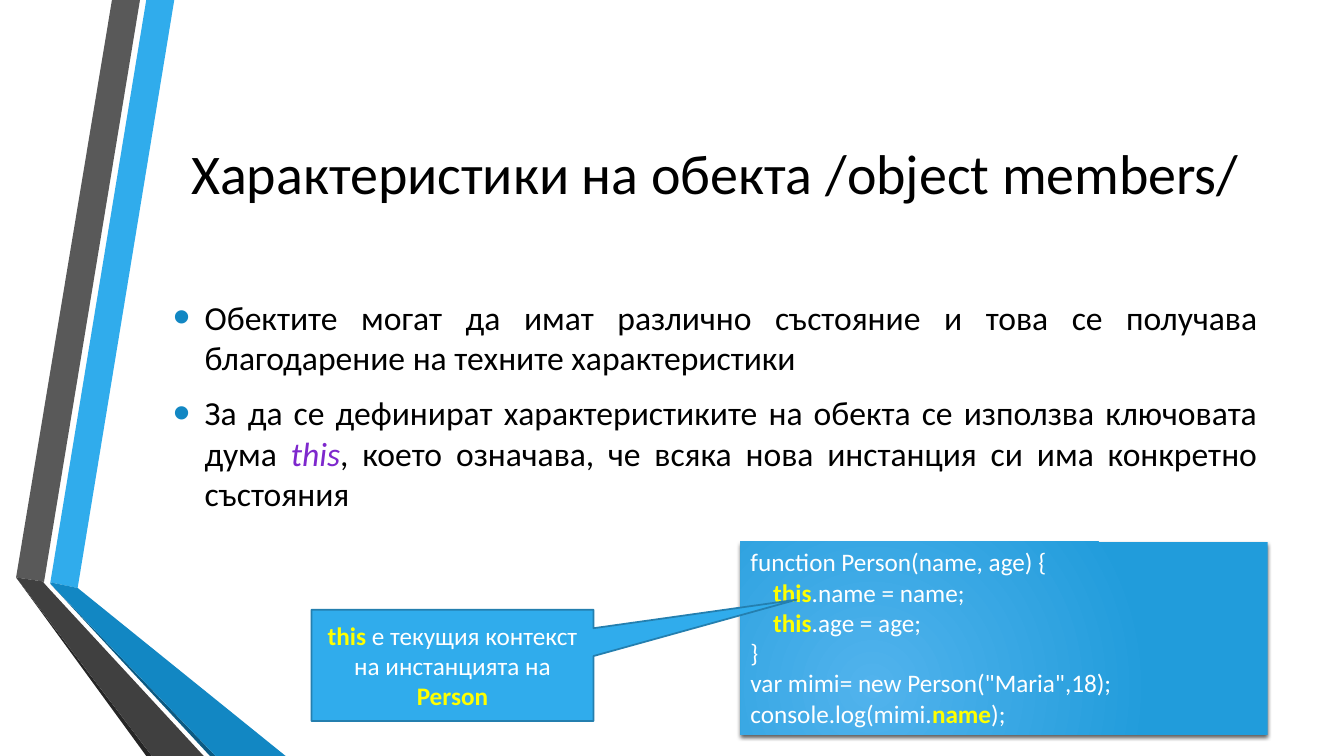
from pptx import Presentation
from pptx import util as u
from pptx.dml import color
from pptx.enum import shapes, text
from pptx.oxml import parse_xml
from pptx.oxml import ns

BANDS = [
    ("30ACEC", [(36, 416), (55.5, 420), (124.5, 0), (104.5, 0)]),
    ("595959", [(100, 0), (80, 0), (11.5, 412.5), (31.5, 415.5)]),
    ("262626", [(11.5, 412.5), (104.5, 540), (108.5, 540)]),
    ("0C5A82", [(36, 417), (150, 540), (154, 540)]),
    ("1287C3", [(36, 416), (36, 417), (154, 540), (204, 540), (55.5, 420)]),
    ("404040", [(145.5, 540), (34.5, 420), (31, 416), (31.5, 415.5),
                (11.5, 412.5), (108.5, 540)]),
]
CODE_INDENT = 16.25


def rgb(value):
    return color.RGBColor.from_string(value)


def xml(body):
    tag, rest = body.split(" ", 1)
    return parse_xml(f"{tag} {ns.nsdecls('a')} {rest}")


class Deck:
    font = "Calibri"
    key = {"bold": True, "color": "FFFF00"}
    term = {"italic": True, "color": "7E28CD"}

    def __init__(self):
        self.prs = Presentation()
        self.prs.slide_width = u.Pt(960)
        self.prs.slide_height = u.Pt(540)
        self.s = self.prs.slides.add_slide(self.prs.slide_layouts[1])

    def band(self, fill, points):
        pts = [(u.Pt(x), u.Pt(y)) for x, y in points]
        fb = self.s.shapes.build_freeform(*pts[0])
        fb.add_line_segments(pts[1:], close=True)
        self.paint(fb.convert_to_shape(), fill)

    def paint(self, sp, fill=None, line=None, width=1.25):
        sp.shadow.inherit = False
        if fill:
            sp.fill.solid()
            sp.fill.fore_color.rgb = rgb(fill)
        if line:
            sp.line.color.rgb = rgb(line)
            sp.line.width = u.Pt(width)
        else:
            sp.line.fill.background()

    def put_text(self, sp, paragraphs, size, fill, align, anchor):
        tf = sp.text_frame
        frame = {"word_wrap": True, "auto_size": text.MSO_AUTO_SIZE.NONE,
                 "vertical_anchor": anchor}
        for name, value in frame.items():
            setattr(tf, name, value)
        for i, runs in enumerate(paragraphs):
            p = tf.add_paragraph() if i else tf.paragraphs[0]
            p.alignment = align
            for words, extra in runs:
                r = p.add_run()
                r.text = words
                style = {"name": self.font, "size": u.Pt(size), "color": fill, **extra}
                r.font.color.rgb = rgb(style.pop("color"))
                for name, value in style.items():
                    setattr(r.font, name, value)
        return tf

    def place(self, index, box):
        sp = self.s.placeholders[index]
        for name, value in zip(("left", "top", "width", "height"), box):
            setattr(sp, name, u.Pt(value))
        return sp

    def title(self, words, box):
        self.put_text(self.place(0, box), [[(words, {})]], 40, "000000",
                      text.PP_ALIGN.CENTER, text.MSO_ANCHOR.MIDDLE)

    def bullets(self, items, box):
        tf = self.put_text(self.place(1, box), items, 24, "000000",
                           text.PP_ALIGN.JUSTIFY, text.MSO_ANCHOR.MIDDLE)
        for p in tf.paragraphs:
            p.space_after = u.Pt(6)
            pPr = p._p.get_or_add_pPr()
            pPr.set("marL", str(u.Pt(22.5)))
            pPr.set("indent", str(u.Pt(-22.5)))
            for part in ('<a:buClr ><a:srgbClr val="1287C3"/></a:buClr>',
                         '<a:buSzPct val="145000"/>',
                         '<a:buFont typeface="Arial"/>', '<a:buChar char="•"/>'):
                pPr.append(xml(part))

    def shape(self, kind, box):
        return self.s.shapes.add_shape(kind, *map(u.Pt, box))

    def code(self, lines, box):
        sp = self.shape(shapes.MSO_SHAPE.RECTANGLE, box)
        self.paint(sp)
        spPr = sp._element.spPr
        spPr.find(ns.qn("a:prstGeom")).addnext(xml(
            '<a:gradFill rotWithShape="1"><a:gsLst>'
            '<a:gs pos="0"><a:srgbClr val="51B3ED"/></a:gs>'
            '<a:gs pos="100000"><a:srgbClr val="219CDB"/></a:gs></a:gsLst>'
            '<a:path path="circle"><a:fillToRect l="50000" t="100000" '
            'r="100000" b="50000"/></a:path></a:gradFill>'))
        spPr.find(ns.qn("a:effectLst")).append(xml(
            f'<a:outerShdw blurRad="{u.Pt(3)}" dist="{u.Pt(2)}" dir="5400000" '
            'rotWithShape="0"><a:srgbClr val="000000"><a:alpha val="64000"/>'
            '</a:srgbClr></a:outerShdw>'))
        tf = self.put_text(sp, [runs for _, runs in lines], 18, "FFFFFF",
                           text.PP_ALIGN.LEFT, text.MSO_ANCHOR.TOP)
        for p, (level, _) in zip(tf.paragraphs, lines):
            p._p.get_or_add_pPr().set("marL", str(u.Pt(level * CODE_INDENT)))

    def callout(self, runs, box, tip):
        sp = self.shape(shapes.MSO_SHAPE.RECTANGULAR_CALLOUT, box)
        for i, value in enumerate(tip):
            sp.adjustments[i] = value
        self.paint(sp, "30ACEC", "247FAF")
        self.put_text(sp, [runs], 18, "FFFFFF",
                      text.PP_ALIGN.CENTER, text.MSO_ANCHOR.MIDDLE)


def main():
    d = Deck()
    for fill, points in BANDS:
        d.band(fill, points)
    d.title("Характеристики на обекта /object members/", (116.5, 54, 789, 138))
    d.bullets([
        [("Обектите могат да имат различно състояние и това се получава "
          "благодарение на техните характеристики", {})],
        [("За да се дефинират характеристиките на обекта се използва "
          "ключовата дума ", {}),
         ("this", d.term),
         (", което означава, че всяка нова инстанция си има конкретно "
          "състояния", {})],
    ], (116.5, 173, 789, 232.5))
    d.code([
        (0, [("function Person(name, age) {", {})]),
        *[(1, [("this", d.key), (f".{field} = {field};", {})])
          for field in ("name", "age")],
        (0, [("}", {})]),
        (0, [('var mimi= new Person("Maria",18);', {})]),
        (0, [("console.log(mimi.", {}), ("name", d.key), (");", {})]),
    ], (529, 387, 376.5, 138))
    d.callout([("this ", d.key), ("е текущия контекст на инстанцията на ", {}),
               ("Person", d.key)], (222.5, 435.5, 201.5, 79.5), (1.22, -0.59))
    d.prs.save("out.pptx")


if __name__ == "__main__":
    main()
